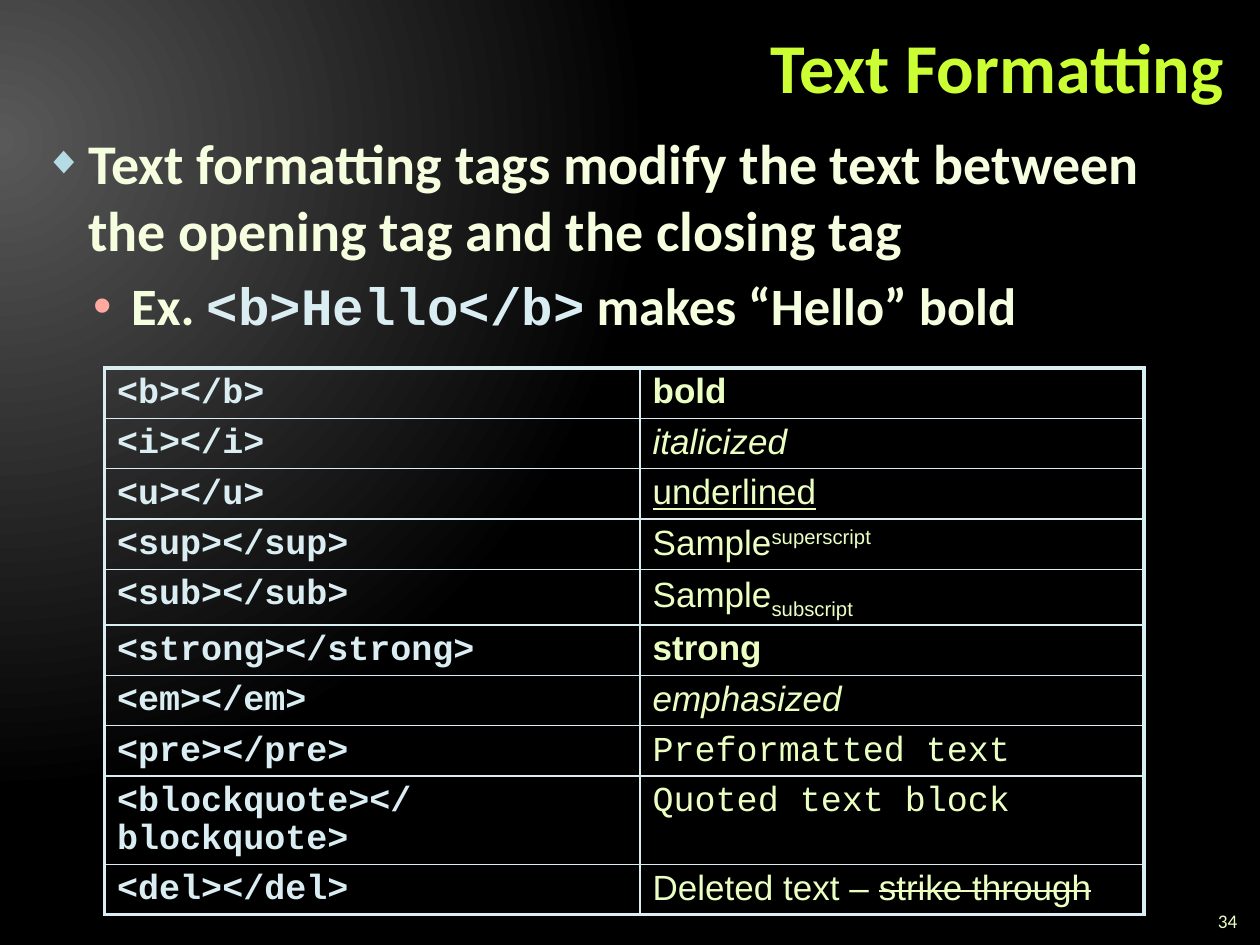
import pptx
import pptx.dml.color
import pptx.enum.text
import pptx.oxml.ns
import pptx.util
from lxml import etree
from pptx.util import Inches

RGBColor = pptx.dml.color.RGBColor
PP_ALIGN = pptx.enum.text.PP_ALIGN
qn = pptx.oxml.ns.qn

GLOW = RGBColor(0x59, 0x59, 0x59)
BLACK = RGBColor(0x00, 0x00, 0x00)
LIME = RGBColor(0xCC, 0xFF, 0x33)
CREAM = RGBColor(0xF5, 0xFF, 0xE0)
PALE_GREEN = RGBColor(0xEB, 0xFF, 0xC2)
PALE_BLUE = RGBColor(0xDA, 0xED, 0xF2)
DIAMOND_BLUE = RGBColor(0xB5, 0xDB, 0xE5)
DOT_PINK = RGBColor(0xFF, 0xA9, 0xA0)

HEADING_FONT, SAMPLE_FONT, CODE_FONT = "Calibri", "Arial", "Courier New"
THIN, THICK = 1, 2.25

# Each row: tag, then the runs of its sample with their formats
TAG_SAMPLES = [
    ("<b></b>", [("bold", {"bold": True})]),
    ("<i></i>", [("italicized", {"italic": True})]),
    ("<u></u>", [("underlined", {"underline": True})]),
    ("<sup></sup>", [("Sample", {}), ("superscript", {"baseline": 30})]),
    ("<sub></sub>", [("Sample", {}), ("subscript", {"baseline": -25})]),
    ("<strong></strong>", [("strong", {"bold": True})]),
    ("<em></em>", [("emphasized", {"italic": True})]),
    ("<pre></pre>", [("Preformatted text", {"font": CODE_FONT})]),
    ("<blockquote></blockquote>", [("Quoted text block", {"font": CODE_FONT})]),
    ("<del></del>", [("Deleted text – ", {}), ("strike through", {"strike": True})]),
]
ROW_HEIGHT = 0.4
TALL_ROWS = {"<sub></sub>": 0.44, "<blockquote></blockquote>": 0.7}


def add_text(paragraph, text, size, color, font=HEADING_FONT, bold=False,
             italic=False, underline=False, baseline=0, strike=False):
    run = paragraph.add_run()
    run.text = text
    run.font.size = pptx.util.Pt(size)
    run.font.name = font
    run.font.color.rgb = color
    run.font.bold = bold
    run.font.italic = italic
    run.font.underline = underline
    properties = run.font._element
    if baseline:
        properties.set("baseline", str(baseline * 1000))
    if strike:
        properties.set("strike", "sngStrike")


def place(shape, box):
    shape.left, shape.top, shape.width, shape.height = box


def set_bullet(paragraph, character, color, margin, hanging, percent=100):
    properties = paragraph._p.get_or_add_pPr()
    properties.set("marL", str(margin))
    properties.set("indent", str(-hanging))
    bullet_color = etree.SubElement(properties, qn("a:buClr"))
    etree.SubElement(bullet_color, qn("a:srgbClr"), val=str(color))
    etree.SubElement(properties, qn("a:buSzPct"), val=str(percent * 1000))
    etree.SubElement(properties, qn("a:buFont"), typeface=SAMPLE_FONT)
    etree.SubElement(properties, qn("a:buChar"), char=character)


def set_borders(cell, widths):
    """Draw the cell's left, right, top and bottom borders, in that order."""
    properties = cell._tc.get_or_add_tcPr()
    for side, width in zip("LRTB", widths):
        line = etree.SubElement(properties, qn(f"a:ln{side}"),
                                w=str(pptx.util.Pt(width)))
        fill = etree.SubElement(line, qn("a:solidFill"))
        etree.SubElement(fill, qn("a:srgbClr"), val=str(PALE_BLUE))


def paint_background(slide):
    """Fill the slide with a round glow from its upper left edge."""
    fill = slide.background.fill
    fill.gradient()
    for stop, color, position in zip(fill.gradient_stops, (GLOW, BLACK), (0, 0.83)):
        stop.color.rgb = color
        stop.position = position
    gradient = slide._element.find(".//" + qn("a:gradFill"))
    gradient.remove(gradient.find(qn("a:lin")))
    glow = etree.SubElement(gradient, qn("a:path"), {"path": "circle"})
    etree.SubElement(glow, qn("a:fillToRect"),
                     l="20000", t="30000", r="135000", b="100000")


def fill_title(title, box):
    place(title, box)
    frame = title.text_frame
    frame.word_wrap = True
    frame.auto_size = pptx.enum.text.MSO_AUTO_SIZE.NONE
    frame.vertical_anchor = pptx.enum.text.MSO_ANCHOR.MIDDLE
    heading = frame.paragraphs[0]
    heading.alignment = PP_ALIGN.RIGHT
    heading.line_spacing = pptx.util.Pt(40)
    add_text(heading, "Text Formatting", 40, LIME, bold=True)


def fill_body(body, box):
    place(body, box)
    frame = body.text_frame
    frame.word_wrap = True
    frame.auto_size = pptx.enum.text.MSO_AUTO_SIZE.NONE

    rule = frame.paragraphs[0]
    set_bullet(rule, "◆", DIAMOND_BLUE, Inches(0.35), Inches(0.35), percent=70)
    rule.space_before = pptx.util.Pt(0)
    add_text(rule, "Text formatting tags modify the text between "
             "the opening tag and the closing tag", 32, CREAM, bold=True)

    example = frame.add_paragraph()
    example.level = 1
    set_bullet(example, "•", DOT_PINK, Inches(0.69), Inches(0.3))
    example.space_before = pptx.util.Pt(6)
    add_text(example, "Ex. ", 30, CREAM, bold=True)
    add_text(example, "<b>Hello</b>", 30, PALE_BLUE, font=CODE_FONT, bold=True)
    add_text(example, " makes “Hello” bold", 30, CREAM, bold=True)


def add_tag_table(slide, box):
    last = len(TAG_SAMPLES) - 1
    table = slide.shapes.add_table(len(TAG_SAMPLES), 2, *box).table
    table.first_row = table.horz_banding = False
    table.columns[0].width = Inches(4.25)
    table.columns[1].width = box[2] - Inches(4.25)
    for index, (tag, sample) in enumerate(TAG_SAMPLES):
        table.rows[index].height = Inches(TALL_ROWS.get(tag, ROW_HEIGHT))
        top = THICK if index == 0 else THIN
        bottom = THICK if index == last else THIN
        tag_cell, sample_cell = table.rows[index].cells
        set_borders(tag_cell, (THICK, THIN, top, bottom))
        set_borders(sample_cell, (THIN, THICK, top, bottom))
        for cell in (tag_cell, sample_cell):
            cell.fill.background()
            cell.text_frame.paragraphs[0].line_spacing = 0.95
        add_text(tag_cell.text_frame.paragraphs[0], tag, 20, PALE_BLUE,
                 font=CODE_FONT, bold=True)
        for text, style in sample:
            add_text(sample_cell.text_frame.paragraphs[0], text, 20, PALE_GREEN,
                     **{"font": SAMPLE_FONT, **style})


def add_page_number(slide, box):
    frame = slide.shapes.add_textbox(*box).text_frame
    frame.word_wrap = True
    number = frame.paragraphs[0]
    number.alignment = PP_ALIGN.RIGHT
    add_text(number, "34", 11, PALE_GREEN)


def main():
    deck = pptx.Presentation()
    deck.slide_width, deck.slide_height = Inches(10), Inches(7.5)
    slide = deck.slides.add_slide(deck.slide_layouts[1])
    paint_background(slide)
    fill_title(slide.shapes.title,
               (Inches(2.64), Inches(0.08), Inches(7.17), Inches(0.99)))
    fill_body(slide.placeholders[1],
              (Inches(0.25), Inches(0.97), Inches(9.5), Inches(6.28)))
    add_tag_table(slide, (Inches(0.83), Inches(2.92), Inches(8.25), Inches(4.34)))
    add_page_number(slide, (Inches(9.42), Inches(7.17), Inches(0.5), Inches(0.25)))
    deck.save("out.pptx")


if __name__ == "__main__":
    main()
